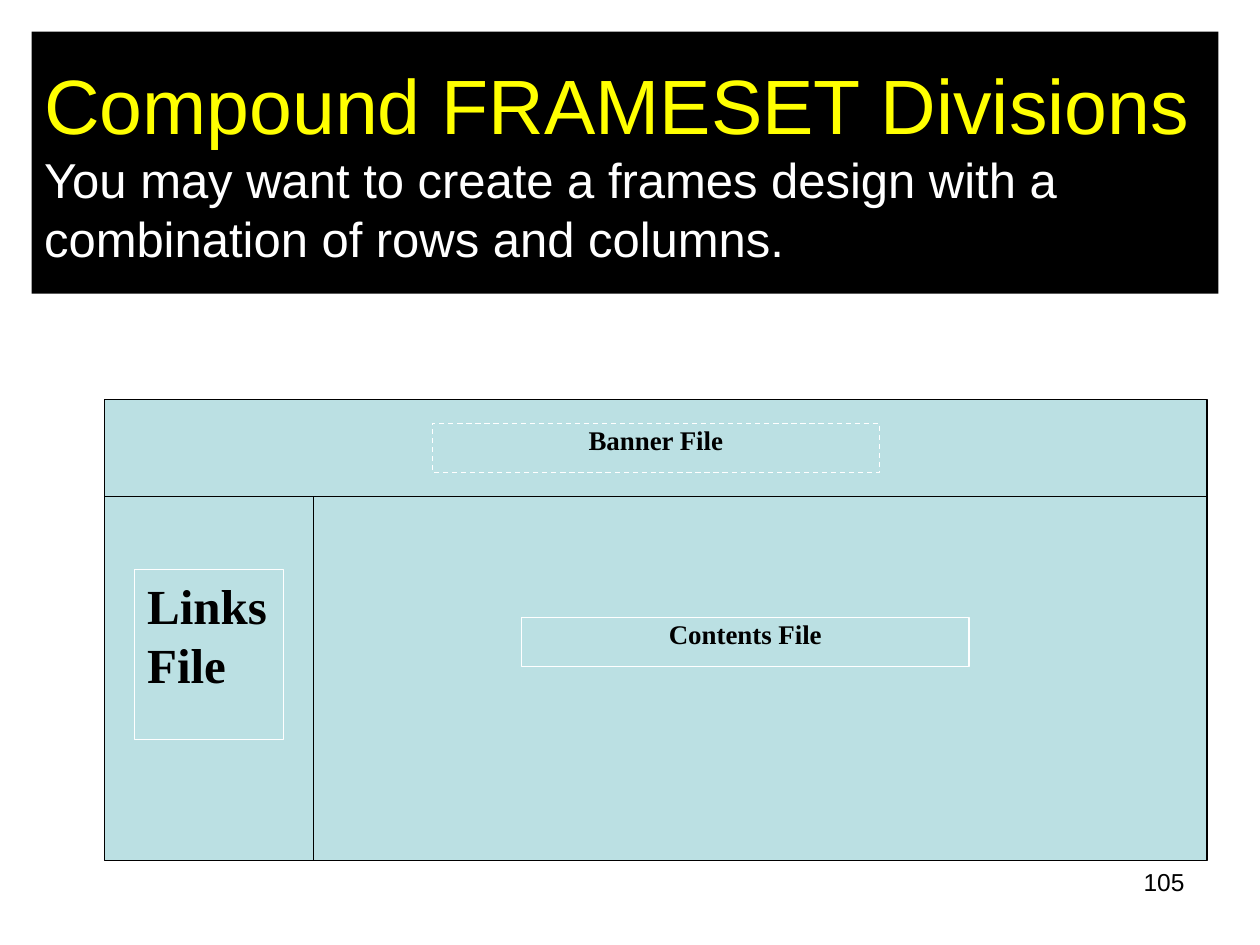
from dataclasses import dataclass

from pptx import Presentation
from pptx import util as u
from pptx.dml.color import RGBColor
from pptx.enum import dml, shapes, text
from pptx.oxml.ns import qn
from pptx.shapes.autoshape import Shape
from pptx.shapes.group import GroupShape
from pptx.text.text import _Paragraph

COLORS = {
    "black": "000000",
    "white": "FFFFFF",
    "yellow": "FFFF00",
    "frame": "BBE0E3",
}
LEFT, TOP, RIGHT, BOTTOM = 0.83, 3.17, 9.58, 6.83
ROW_DIVIDER, COLUMN_DIVIDER = 3.94, 2.49
LINE_WIDTH = u.Pt(0.75)


@dataclass
class Label:
    lines: tuple[str, ...]
    left: float
    top: float
    width: float
    height: float
    size: float = 15.4
    align: text.PP_ALIGN = text.PP_ALIGN.CENTER
    spacing: float = 0.8
    dashed: bool = False


LABELS = (
    Label(("Banner File",), 3.43, 3.36, 3.55, 0.39, dashed=True),
    Label(("Contents File",), 4.14, 4.9, 3.55, 0.39),
    Label(("Links", "File"), 1.07, 4.52, 1.18, 1.35, 28, text.PP_ALIGN.LEFT, 1.0),
)


def rgb(name: str) -> RGBColor:
    return RGBColor.from_string(COLORS[name])


def add_run(paragraph: _Paragraph, words: str, size: float, color: str,
            font: str = "Arial", bold: bool = False) -> None:
    run = paragraph.add_run()
    run.text = words
    run.font.name = font
    run.font.size = u.Pt(size)
    run.font.bold = bold
    run.font.color.rgb = rgb(color)


def add_box(group: GroupShape, left: float, top: float, width: float,
            height: float, line: str) -> Shape:
    shape = group.shapes.add_shape(
        shapes.MSO_SHAPE.RECTANGLE,
        u.Inches(left), u.Inches(top), u.Inches(width), u.Inches(height))
    shape.shadow.inherit = False
    shape.fill.solid()
    shape.fill.fore_color.rgb = rgb("frame")
    shape.line.color.rgb = rgb(line)
    shape.line.width = LINE_WIDTH
    return shape


def add_divider(group: GroupShape, x1: float, y1: float, x2: float, y2: float) -> None:
    connector = group.shapes.add_connector(
        shapes.MSO_CONNECTOR.STRAIGHT,
        u.Inches(x1), u.Inches(y1), u.Inches(x2), u.Inches(y2))
    connector.line.color.rgb = rgb("black")
    connector.line.width = LINE_WIDTH
    properties = connector._element.spPr
    properties.append(properties.makeelement(qn("a:effectLst"), {}))


def add_label(group: GroupShape, label: Label) -> None:
    shape = add_box(group, label.left, label.top, label.width, label.height, "white")
    if label.dashed:
        shape.line.dash_style = dml.MSO_LINE.DASH
    frame = shape.text_frame
    frame.word_wrap = True
    frame.vertical_anchor = text.MSO_ANCHOR.TOP
    for index, words in enumerate(label.lines):
        paragraph = frame.add_paragraph() if index else frame.paragraphs[0]
        paragraph.alignment = label.align
        paragraph.line_spacing = label.spacing
        add_run(paragraph, words, label.size, "black", "Times New Roman", True)


def format_title(title: Shape) -> None:
    title.left, title.top = u.Inches(0.25), u.Inches(0.25)
    title.width, title.height = u.Inches(9.42), u.Inches(2.08)
    title.fill.solid()
    title.fill.fore_color.rgb = rgb("black")
    frame = title.text_frame
    frame.word_wrap = True
    frame.auto_size = text.MSO_AUTO_SIZE.NONE
    frame.vertical_anchor = text.MSO_ANCHOR.MIDDLE
    paragraph = frame.paragraphs[0]
    paragraph.alignment = text.PP_ALIGN.LEFT
    add_run(paragraph, "Compound FRAMESET Divisions", 44, "yellow")
    paragraph.add_line_break()
    add_run(paragraph, "You may want to create a frames design with a "
            "combination of rows and columns.", 28, "white")


def main() -> None:
    presentation = Presentation()
    presentation.slide_width, presentation.slide_height = u.Inches(10), u.Inches(7.5)
    slide = presentation.slides.add_slide(presentation.slide_layouts[5])
    format_title(slide.shapes.title)

    number = slide.shapes.add_textbox(
        u.Inches(7.17), u.Inches(6.83), u.Inches(2.33), u.Inches(0.52))
    number.text_frame.word_wrap = True
    paragraph = number.text_frame.paragraphs[0]
    paragraph.alignment = text.PP_ALIGN.RIGHT
    add_run(paragraph, "105", 14, "black")

    group = slide.shapes.add_group_shape()
    add_box(group, LEFT, TOP, RIGHT - LEFT, BOTTOM - TOP, "black")
    add_divider(group, RIGHT, ROW_DIVIDER, LEFT, ROW_DIVIDER)
    add_divider(group, COLUMN_DIVIDER, ROW_DIVIDER, COLUMN_DIVIDER, BOTTOM)
    for label in LABELS:
        add_label(group, label)

    presentation.save("out.pptx")


if __name__ == "__main__":
    main()
